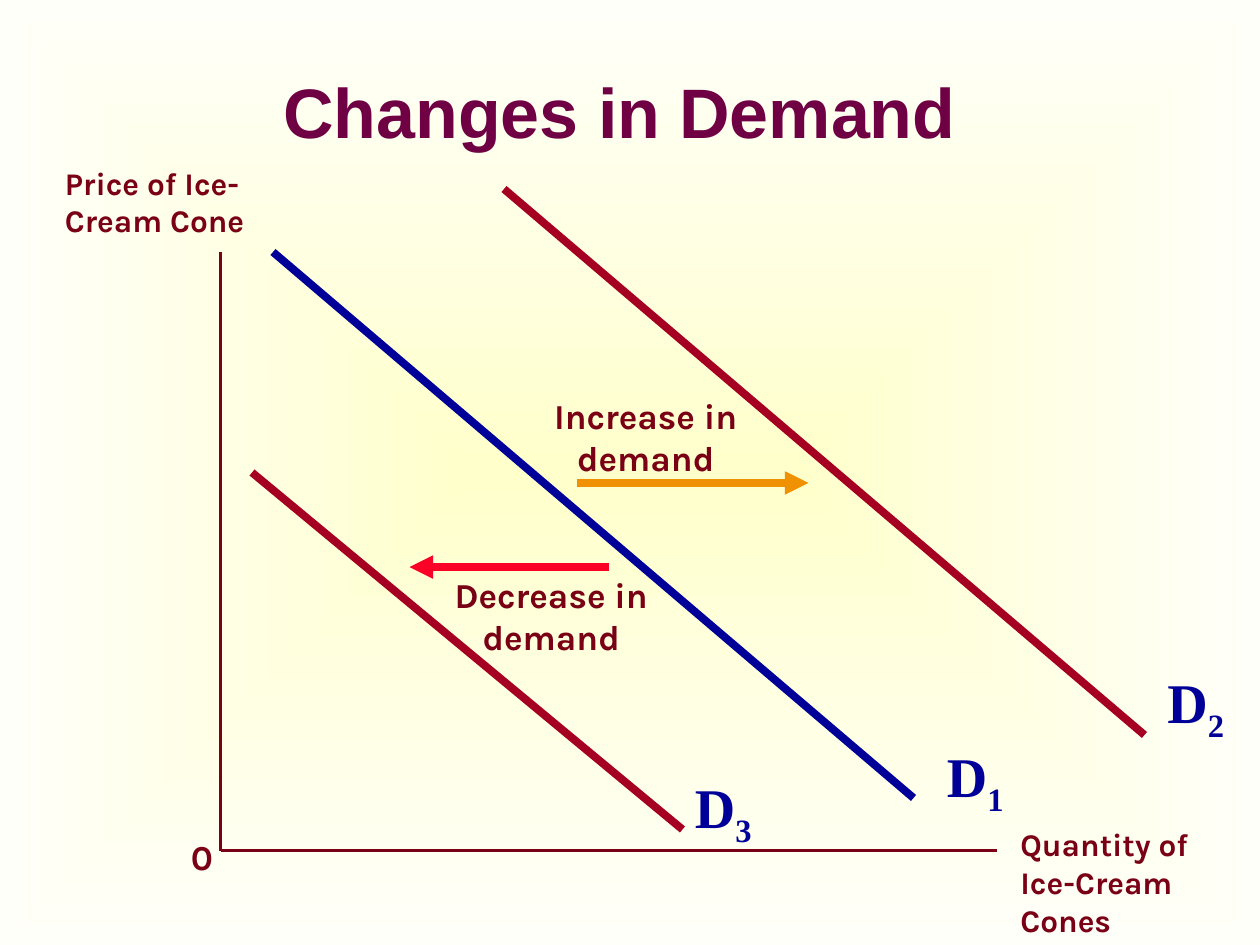
from pptx import Presentation
from pptx.dml.color import RGBColor as RGB
from pptx.enum.shapes import MSO_CONNECTOR as Link
from pptx.enum.text import MSO_ANCHOR as Anchor, MSO_AUTO_SIZE as Fit, PP_ALIGN as Align
from pptx.oxml import parse_xml
from pptx.oxml.ns import qn
from pptx.util import Pt
from lxml.etree import SubElement

PX = 7620  # EMU in one px, 120 px to the inch
WIDE, HIGH = 1200, 900

THEME = {
    "inner": "FFFFCC", "outer": "FFFFFA",
    "axis": "790015", "base": "000099", "shift": "A50021",
    "more": "EF9100", "less": "FC0128",
    "thin": 2.25, "thick": 4.5,
    "title": dict(name="Arial", size=40, color="6E0043"),
    "axis name": dict(name="Karla", size=18, color="790015", gap=11.2),
    "note": dict(name="Karla", size=20, color="790015", gap=12.5),
    "curve": dict(name="Times New Roman", size=32, color="000099", gap=20),
}

TITLE = ("Changes in Demand", (80, 30, 1020, 150))

# start x, y, end x, y, colour, weight, arrowhead
LINES = [
    (210, 240, 210, 810, "axis", "thin", False),
    (210, 810, 950, 810, "axis", "thin", False),
    (260, 240, 870, 760, "base", "thick", False),
    (480, 180, 1090, 700, "shift", "thick", False),
    (240, 450, 650, 790, "shift", "thick", False),
    (580, 540, 390, 540, "less", "thick", True),
    (550, 460, 770, 460, "more", "thick", True),
]

# text, subscript, box, style, alignment
LABELS = [
    ("0", "", (170, 790, 100, 53), "note", Align.LEFT),
    ("Price of Ice-Cream Cone", "", (50, 150, 200, 120), "axis name", Align.LEFT),
    ("Quantity of Ice-Cream Cones", "", (960, 780, 200, 120), "axis name", Align.LEFT),
    ("D", "1", (890, 700, 100, 85), "curve", Align.LEFT),
    ("D", "2", (1100, 630, 100, 85), "curve", Align.LEFT),
    ("D", "3", (650, 730, 100, 85), "curve", Align.LEFT),
    ("Increase in demand", "", (480, 370, 270, 92), "note", Align.CENTER),
    ("Decrease in demand", "", (390, 540, 270, 92), "note", Align.CENTER),
]

GLOW = """<p:bg
 xmlns:p="http://schemas.openxmlformats.org/presentationml/2006/main"
 xmlns:a="http://schemas.openxmlformats.org/drawingml/2006/main">
 <p:bgPr><a:gradFill rotWithShape="0"><a:gsLst>
 <a:gs pos="0"><a:srgbClr val="{inner}"/></a:gs>
 <a:gs pos="100000"><a:srgbClr val="{outer}"/></a:gs></a:gsLst>
 <a:path path="rect"><a:fillToRect l="50000" t="50000" r="50000" b="50000"/></a:path>
 </a:gradFill><a:effectLst/></p:bgPr></p:bg>"""


def emu(*nums):
    return [n * PX for n in nums]


def add_run(par, text, style, base=None):
    run = par.add_run()
    run.text = text
    look = {"name": style["name"], "size": Pt(style["size"]), "bold": True}
    for key, val in look.items():
        setattr(run.font, key, val)
    run.font.color.rgb = RGB.from_string(style["color"])
    if base:
        run.font._element.set("baseline", base)


def set_frame(frame, **look):
    for key, val in {"word_wrap": True, **look}.items():
        setattr(frame, key, val)
    return frame.paragraphs[0]


def add_title(slide, text, box):
    shape = slide.shapes.title
    for key, val in zip(("left", "top", "width", "height"), emu(*box)):
        setattr(shape, key, val)
    par = set_frame(shape.text_frame, auto_size=Fit.NONE, vertical_anchor=Anchor.MIDDLE)
    par.alignment = Align.CENTER
    add_run(par, text, THEME["title"])


def add_line(slide, x1, y1, x2, y2, color, weight, arrow):
    link = slide.shapes.add_connector(Link.STRAIGHT, *emu(x1, y1, x2, y2))
    link.line.color.rgb = RGB.from_string(THEME[color])
    link.line.width = Pt(THEME[weight])
    if arrow:
        SubElement(link.line._get_or_add_ln(), qn("a:tailEnd"), type="triangle")
    SubElement(link._element.spPr, qn("a:effectLst"))


def add_label(slide, text, sub, box, kind, align):
    style = THEME[kind]
    shape = slide.shapes.add_textbox(*emu(*box))
    par = set_frame(shape.text_frame, auto_size=Fit.SHAPE_TO_FIT_TEXT)
    par.alignment = align
    par.space_before = Pt(style["gap"])
    add_run(par, text, style)
    if sub:
        add_run(par, sub, style, "-25000")


def main():
    deck = Presentation()
    deck.slide_width, deck.slide_height = emu(WIDE, HIGH)
    slide = deck.slides.add_slide(deck.slide_layouts.get_by_name("Title Only"))
    slide._element.cSld.insert(0, parse_xml(GLOW.format(**THEME)))
    add_title(slide, *TITLE)
    for line in LINES:
        add_line(slide, *line)
    for label in LABELS:
        add_label(slide, *label)
    deck.save("out.pptx")


if __name__ == "__main__":
    main()
